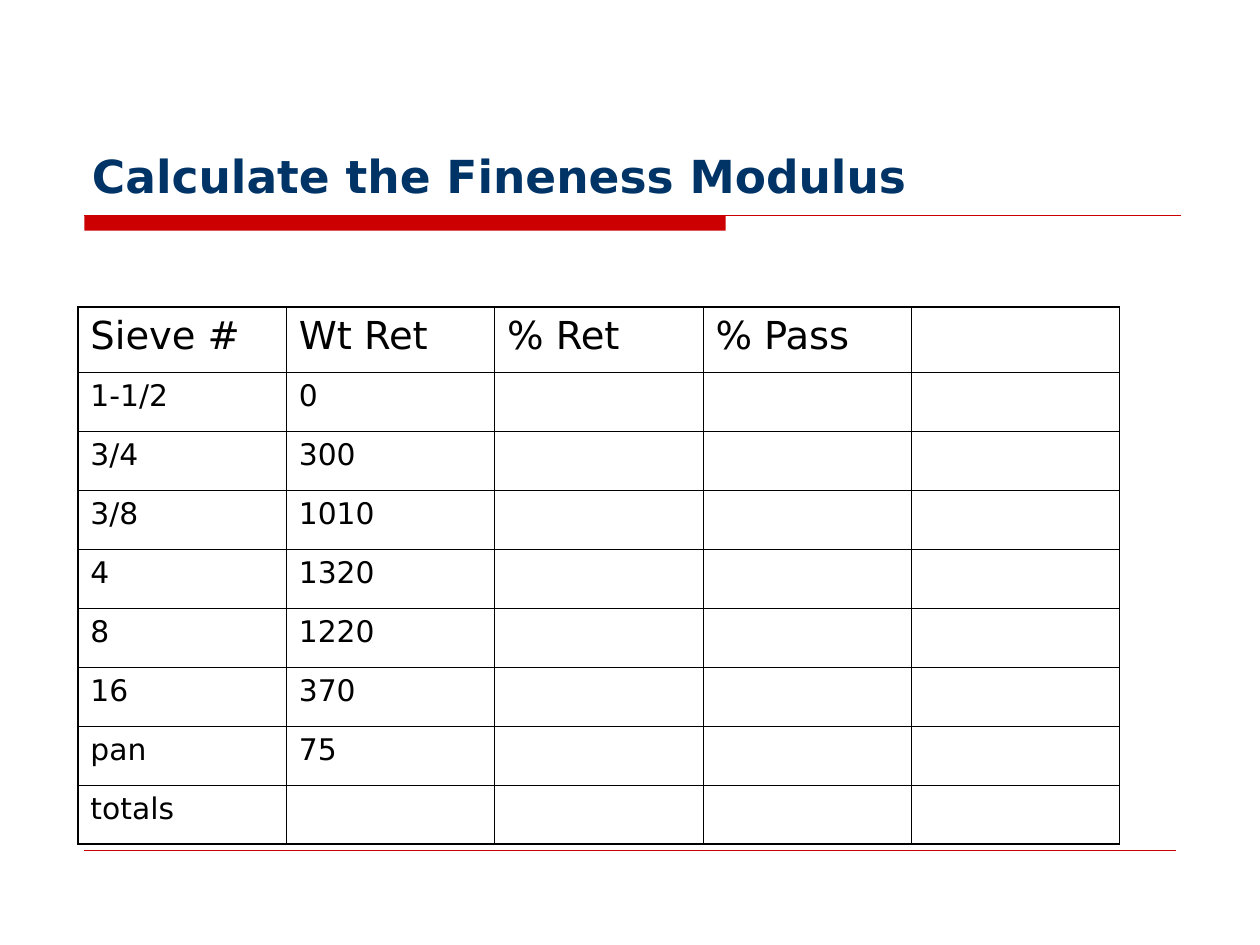
from dataclasses import dataclass

import pptx
import pptx.dml.color
import pptx.enum.shapes
import pptx.enum.text
import pptx.oxml
import pptx.oxml.ns
import pptx.util

Cm, Pt = pptx.util.Cm, pptx.util.Pt

COLORS = {"title": "003366", "accent": "CC0000", "text": "000000", "border": "000000"}
FONT = "DejaVu Sans"

HEADERS = ["Sieve #", "Wt Ret", "% Ret", "% Pass", ""]
WEIGHTS = [("1-1/2", "0"), ("3/4", "300"), ("3/8", "1010"), ("4", "1320"),
           ("8", "1220"), ("16", "370"), ("pan", "75"), ("totals", "")]
COL_WIDTH, HEADER_HEIGHT, ROW_HEIGHT = 4.2, 1.31, 1.19
OUTER, INNER = 1.08, 0.45


@dataclass
class Rule:
    left: float
    right: float
    y: float
    width: float


RULES = [Rule(1.7, 23.8, 4.34, 0.75), Rule(1.7, 23.7, 17.15, 0.25)]


def rgb(name: str) -> pptx.dml.color.RGBColor:
    return pptx.dml.color.RGBColor.from_string(COLORS[name])


def format_run(r, color: str, **values) -> None:
    for name, value in {"name": FONT, **values}.items():
        setattr(r.font, name, value)
    r.font.color.rgb = rgb(color)


def add_title(slide, text: str) -> None:
    s = slide.shapes.title
    s.left, s.top, s.width, s.height = Cm(1.6), Cm(0.84), Cm(22.23), Cm(3.38)
    tf = s.text_frame
    tf.vertical_anchor = pptx.enum.text.MSO_ANCHOR.BOTTOM
    p = tf.paragraphs[0]
    p.alignment = pptx.enum.text.PP_ALIGN.LEFT
    r = p.add_run()
    r.text = text
    format_run(r, "title", size=Pt(26), bold=True)


def add_bar(slide) -> None:
    s = slide.shapes.add_shape(pptx.enum.shapes.MSO_SHAPE.RECTANGLE,
                               Cm(1.7), Cm(4.34), Cm(12.93), Cm(0.31))
    s.shadow.inherit = False
    s.fill.solid()
    s.fill.fore_color.rgb = rgb("accent")
    s.line.fill.background()


def add_rule(slide, rule: Rule) -> None:
    s = slide.shapes.add_connector(pptx.enum.shapes.MSO_CONNECTOR.STRAIGHT,
                                   Cm(rule.left), Cm(rule.y), Cm(rule.right), Cm(rule.y))
    s.line.color.rgb = rgb("accent")
    s.line.width = Pt(rule.width)
    s._element.spPr.append(pptx.oxml.parse_xml(
        f'<a:effectLst {pptx.oxml.ns.nsdecls("a")}/>'))


def set_borders(cell, widths: dict[str, float]) -> None:
    tcPr = cell._tc.get_or_add_tcPr()
    for side, width in widths.items():
        tcPr.append(pptx.oxml.parse_xml(
            f'<a:ln{side} {pptx.oxml.ns.nsdecls("a")} w="{int(Pt(width))}">'
            f'<a:solidFill><a:srgbClr val="{COLORS["border"]}"/></a:solidFill></a:ln{side}>'))


def add_sieve_table(slide) -> None:
    rows = [HEADERS] + [[*row, "", "", ""] for row in WEIGHTS]
    n_rows, n_cols = len(rows), len(HEADERS)
    heights = [HEADER_HEIGHT] + [ROW_HEIGHT] * len(WEIGHTS)
    table = slide.shapes.add_table(n_rows, n_cols, Cm(1.57), Cm(6.19),
                                   Cm(COL_WIDTH * n_cols), Cm(sum(heights))).table
    table.first_row = table.horz_banding = False
    for column in table.columns:
        column.width = Cm(COL_WIDTH)
    for i, (texts, height) in enumerate(zip(rows, heights)):
        table.rows[i].height = Cm(height)
        for j, text in enumerate(texts):
            cell = table.cell(i, j)
            set_borders(cell, {"L": OUTER if j == 0 else INNER,
                               "R": OUTER if j == n_cols - 1 else INNER,
                               "T": OUTER if i == 0 else INNER,
                               "B": OUTER if i == n_rows - 1 else INNER})
            cell.fill.background()
            if text:
                r = cell.text_frame.paragraphs[0].add_run()
                r.text = text
                format_run(r, "text", size=Pt(22 if i == 0 else 17))


def main() -> None:
    prs = pptx.Presentation()
    prs.slide_width, prs.slide_height = Cm(25.4), Cm(19.05)
    slide = prs.slides.add_slide(prs.slide_layouts.get_by_name("Title Only"))
    add_bar(slide)
    for rule in RULES:
        add_rule(slide, rule)
    add_title(slide, "Calculate the Fineness Modulus")
    add_sieve_table(slide)
    prs.save("out.pptx")


if __name__ == "__main__":
    main()
